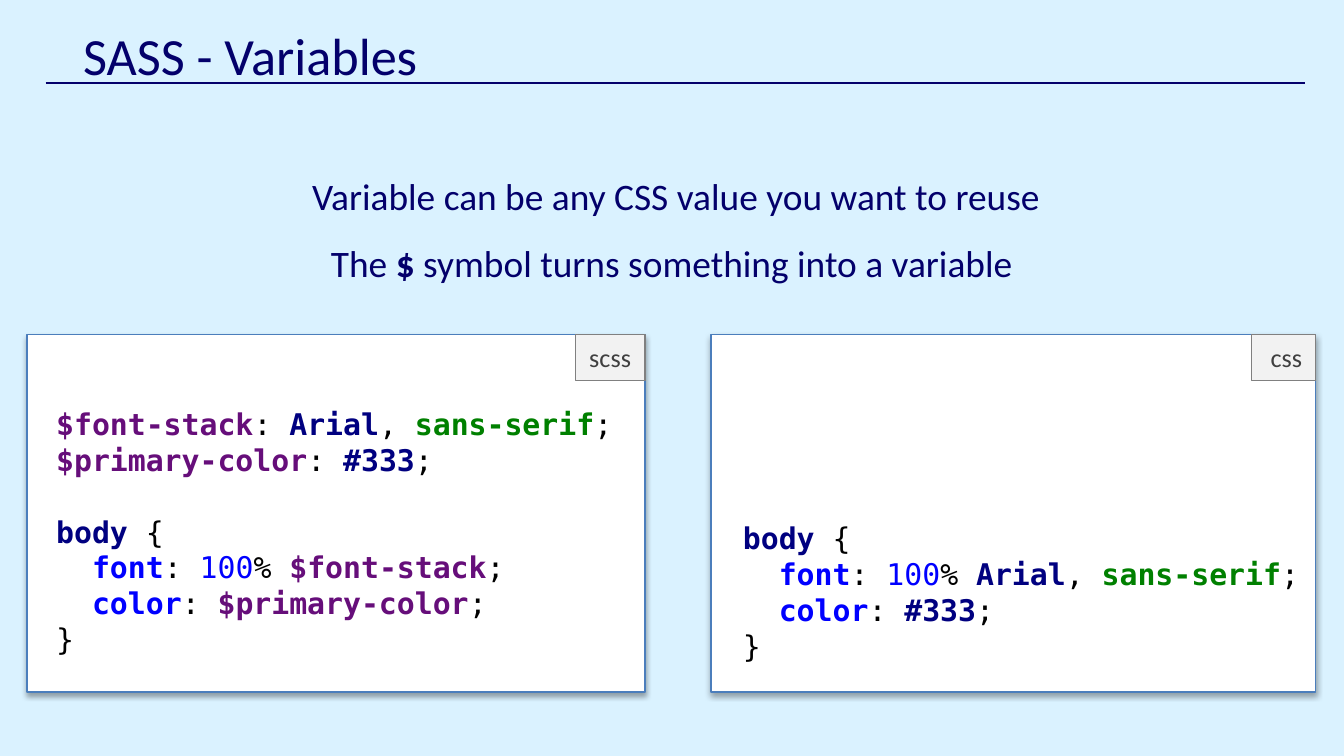
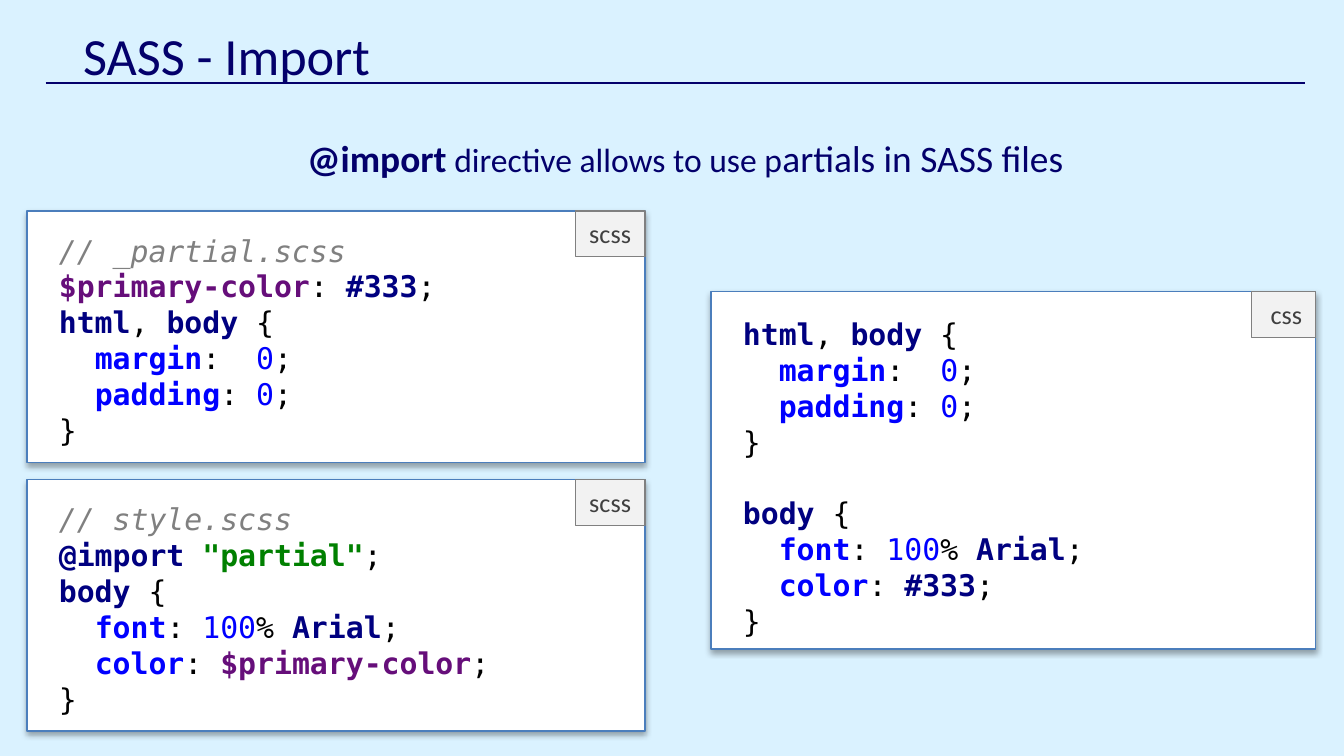
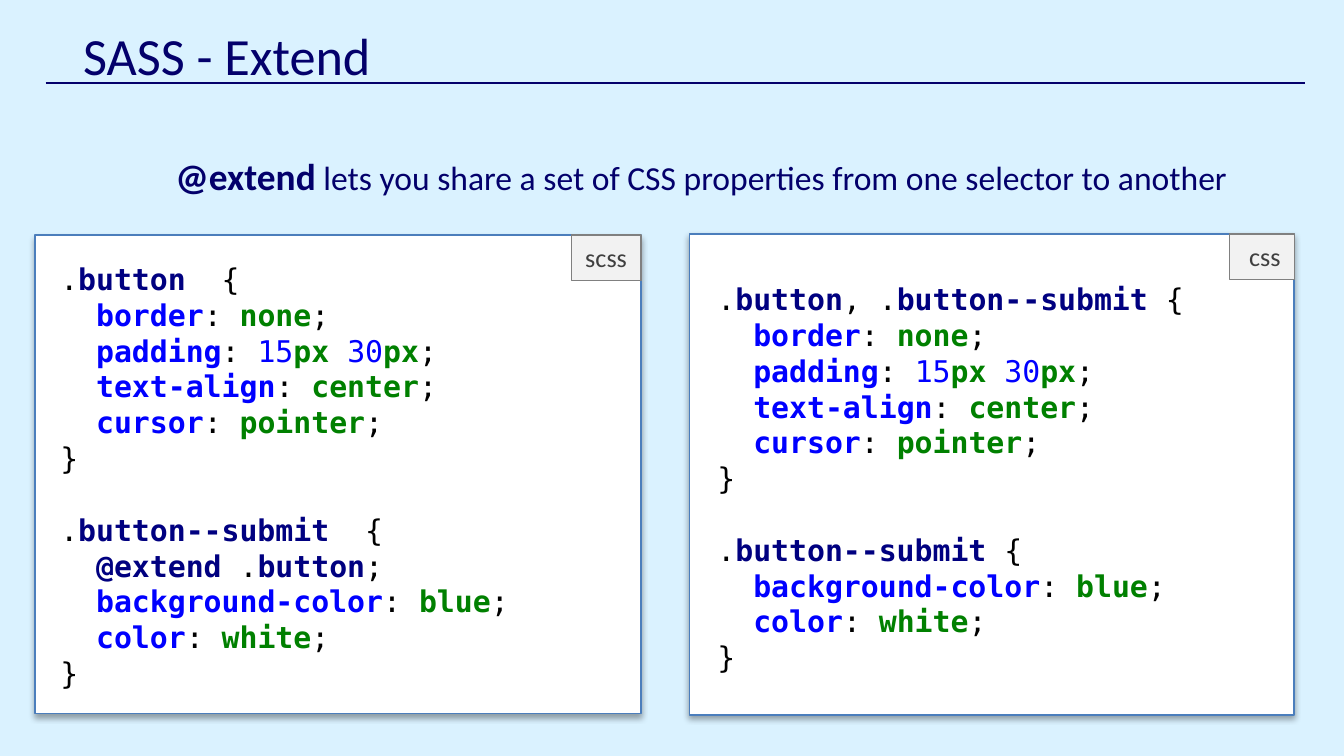
from itertools import groupby

from lxml.etree import SubElement
from pptx import Presentation
from pptx.dml.color import RGBColor
from pptx.enum.shapes import MSO_CONNECTOR as Link, MSO_SHAPE as Shape
from pptx.enum.text import MSO_ANCHOR as Anchor, PP_ALIGN as Align
from pptx.oxml.ns import qn
from pptx.util import Inches, Pt

# Colours
SKY = RGBColor(0xDA, 0xF2, 0xFF)
INK = RGBColor(0x03, 0x00, 0x6B)
WHITE = RGBColor(0xFF, 0xFF, 0xFF)
EDGE = RGBColor(0x4B, 0x7E, 0xBC)
PALE = RGBColor(0xF2, 0xF2, 0xF2)
GREY = RGBColor(0x80, 0x80, 0x80)
DARK = RGBColor(0x40, 0x40, 0x40)
BLACK = RGBColor(0x00, 0x00, 0x00)
NAVY = RGBColor(0x00, 0x00, 0x80)
BLUE = RGBColor(0x00, 0x00, 0xFF)
GREEN = RGBColor(0x00, 0x80, 0x00)
PLUM = RGBColor(0x66, 0x0E, 0x7A)

SANS, MONO = "Calibri", "DejaVu Sans Mono"
CODE_SIZE = 16

# The grid: 100 columns by 56.25 rows
COLS, ROWS = 100, 56.25
CELL = Inches(0.1)
TAG_HIGH = 3.4
TAG_WIDE = {"scss": 5.2, " css": 4.8}

# Code samples
FONTS = """$font-stack: Arial, sans-serif;
$primary-color: #333;

body {
  font: 100% $font-stack;
  color: $primary-color;
}"""

BODY = """body {
  font: 100% Arial, sans-serif;
  color: #333;
}"""

RESET = """html, body {
  margin:  0;
  padding: 0;
}"""

PART = """// _partial.scss
$primary-color: #333;
""" + RESET

STYLE = """// style.scss
@import "partial";
body {
  font: 100% Arial;
  color: $primary-color;
}"""

MERGED = RESET + """

body {
  font: 100% Arial;
  color: #333;
}"""

BUTTON = """{
  border: none;
  padding: 15px 30px;
  text-align: center;
  cursor: pointer;
}

"""

PAINT = """  background-color: blue;
  color: white;
}"""

EXTEND = (".button  " + BUTTON + ".button--submit  {\n"
          + "  @extend .button;\n" + PAINT)
SHARED = (".button, .button--submit " + BUTTON
          + ".button--submit {\n" + PAINT)


def place(*cells):
    """Turn columns and rows into lengths."""
    return [round(n * CELL) for n in cells]


def add_run(para, text, color, **form):
    run = para.add_run()
    run.text = text
    run.font.color.rgb = color
    for key, value in form.items():
        setattr(run.font, key, value)
    return run


def text_box(slide, box):
    frame = slide.shapes.add_textbox(*place(*box)).text_frame
    frame.word_wrap = True
    return frame


def add_glow(parent, alpha, blur, dist, turn):
    """Build an effect list holding one outer shadow."""
    list_el = SubElement(parent, qn("a:effectLst"))
    form = {"blurRad": Pt(blur), "dist": Pt(dist), "dir": turn * 60000,
            "algn": "t", "rotWithShape": 0}
    cast = SubElement(list_el, qn("a:outerShdw"),
                      {key: str(value) for key, value in form.items()})
    tint = SubElement(cast, qn("a:srgbClr"), val=str(BLACK))
    SubElement(tint, qn("a:alpha"), val=str(alpha * 1000))
    return list_el


def add_rect(slide, box, fill, edge):
    rect = slide.shapes.add_shape(Shape.RECTANGLE, *place(*box))
    rect.shadow.inherit = False
    rect.fill.solid()
    rect.fill.fore_color.rgb = fill
    rect.line.color.rgb = edge
    rect.line.width = Pt(0.75)
    return rect


def add_head(slide, title):
    frame = text_box(slide, (5.2, 0.6, 90, 7))
    frame.vertical_anchor = Anchor.MIDDLE
    run = add_run(frame.paragraphs[0], title, INK, size=Pt(28), name=SANS)
    props = run.font.fill._xPr
    props.find(qn("a:solidFill")).addnext(add_glow(props, 43, 3, 3, 45))
    rule = slide.shapes.add_connector(
        Link.STRAIGHT, *place(3.4, 6.2, 97.1, 6.2))
    rule.line.color.rgb = INK
    rule.line.width = Pt(1)
    SubElement(rule._element.spPr, qn("a:effectLst"))


def add_lead(slide, box, *lines):
    """Centred lines, each a list of (text, size, bold)."""
    frame = text_box(slide, box)
    for i, line in enumerate(lines):
        para = frame.add_paragraph() if i else frame.paragraphs[0]
        para.alignment = Align.CENTER
        para.line_spacing = 1.5
        for text, size, bold in line:
            add_run(para, text, INK, size=Pt(size), bold=bold, name=SANS)


def is_word(char):
    return char.isalnum() or char in '-_$@#"'


def tokens(line):
    """Yield (text, colour, bold) for one line of code."""
    if line.startswith("//"):
        yield line, GREY, False
        return
    colon, seen = ":" in line, False
    for word, chars in groupby(line, is_word):
        text = "".join(chars)
        if not word:
            seen = seen or ":" in text
            yield text, BLACK, False
        elif text[0].isdigit():
            unit = text.lstrip("0123456789")
            yield text[:len(text) - len(unit)], BLUE, False
            if unit:
                yield unit, GREEN, True
        elif text[0] == "$":
            yield text, PLUM, True
        elif text[0] in "@#" or text == "Arial":
            yield text, NAVY, True
        elif text[0] == '"' or seen:
            yield text, GREEN, True
        else:
            yield text, BLUE if colon else NAVY, True


def add_code(slide, box, code):
    para = text_box(slide, box).paragraphs[0]
    for i, line in enumerate(code.split("\n")):
        if i:
            para.add_line_break()
            form = SubElement(para._p[-1], qn("a:rPr"),
                              sz=str(CODE_SIZE * 100))
            SubElement(form, qn("a:latin"), typeface=MONO)
        for text, color, bold in tokens(line):
            add_run(para, text, color, size=Pt(CODE_SIZE), name=MONO,
                    bold=bold, italic=color == GREY)


def add_card(slide, box, kind, code, area):
    """A white card with code in its area and a tag in the corner."""
    left, top, wide, _ = box
    card = add_rect(slide, box, WHITE, EDGE)
    props = card._element.spPr
    props.remove(props.find(qn("a:effectLst")))
    add_glow(props, 35, 3.1, 1.8, 90)
    add_code(slide, area, code)
    span = TAG_WIDE[kind]
    tag = add_rect(slide, (left + wide - span, top, span, TAG_HIGH),
                   PALE, GREY)
    frame = tag.text_frame
    frame.word_wrap = False
    frame.vertical_anchor = Anchor.TOP
    frame.paragraphs[0].alignment = Align.CENTER
    add_run(frame.paragraphs[0], kind, DARK, size=Pt(14), name=SANS)


def main():
    deck = Presentation()
    deck.slide_width, deck.slide_height = place(COLS, ROWS)
    back = deck.slide_master.background.fill
    back.solid()
    back.fore_color.rgb = SKY

    def new_slide(title):
        slide = deck.slides.add_slide(deck.slide_layouts[6])
        add_head(slide, title)
        return slide

    # Variables
    slide = new_slide("SASS - Variables")
    add_lead(slide, (14.7, 10.7, 71.2, 10.6),
             [("Variable can be any CSS value you want to reuse", 20, False)],
             [("The ", 20, False), ("$", 20, True),
              (" symbol turns something into a variable ", 20, False)])
    add_card(slide, (2, 24.9, 46, 26.6), "scss", FONTS,
             (3.2, 29.7, 44, 19.9))
    add_card(slide, (52.9, 24.9, 45, 26.6), " css", BODY,
             (54.3, 38.2, 43.6, 11.8))

    # Import
    slide = new_slide("SASS - Import")
    add_lead(slide, (9.4, 7.9, 83.8, 5.5),
             [("@import", 20, True),
              (" directive allows to use p", 18, False),
              ("artials in SASS files ", 20, False)])
    for top, code in ((15.7, PART), (35.7, STYLE)):
        add_card(slide, (2, top, 46, 18.7), "scss", code,
                 (3.4, top + 1.1, 44, 17.4))
    add_card(slide, (52.9, 21.7, 45, 26.6), " css", MERGED,
             (54.3, 23, 43.6, 25.2))

    # Extend
    slide = new_slide("SASS - Extend")
    add_lead(slide, (10.3, 9.2, 83.8, 5.5),
             [("@extend", 20, True),
              (" lets you share a set of CSS properties"
               " from one selector to another", 18, False)])
    add_card(slide, (51.3, 17.4, 45, 35.8), " css", SHARED,
             (52.4, 20.4, 41.6, 30.6))
    add_card(slide, (2.6, 17.5, 45.1, 35.6), "scss", EXTEND,
             (3.5, 18.9, 40.8, 33.7))

    deck.save("out.pptx")


if __name__ == "__main__":
    main()
